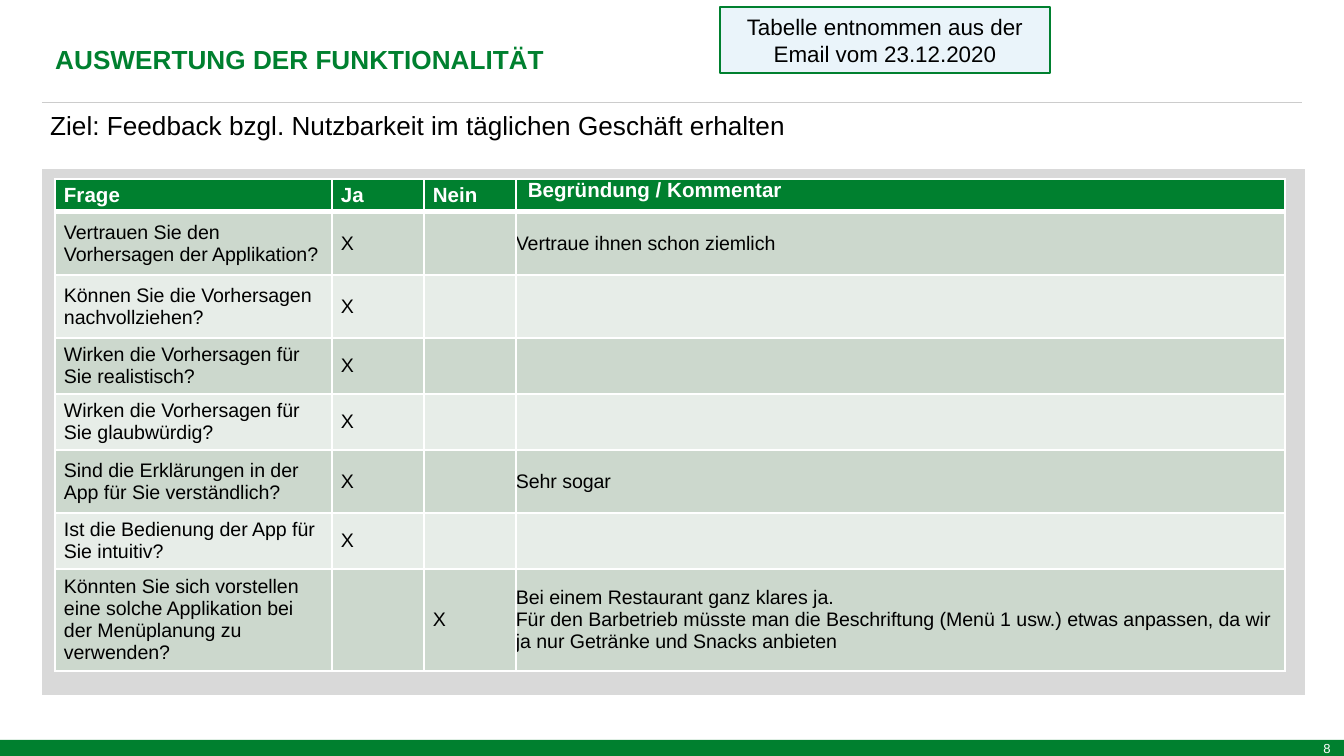
from dataclasses import dataclass
from typing import Optional

import pptx
import pptx.dml.color
import pptx.enum.shapes
import pptx.enum.text
import pptx.oxml
import pptx.oxml.ns
import pptx.util

ALIGN = pptx.enum.text.PP_ALIGN
ANCHOR = pptx.enum.text.MSO_ANCHOR
EMU_PER_PX = 914400 / 134.4


@dataclass(frozen=True)
class Theme:
    font: str = "Arial"
    green: str = "00802F"
    white: str = "FFFFFF"
    black: str = "000000"
    rule: str = "CCCCCC"
    panel: str = "D9D9D9"
    note: str = "EAF4FA"
    band_dark: str = "CCD8CD"
    band_light: str = "E7EDE8"
    heading: float = 14
    callout: float = 12
    table_head: float = 11
    table_body: float = 10.5
    page_number: float = 7


@dataclass(frozen=True)
class Box:
    left: int
    top: int
    width: int
    height: int
    text: str = ""
    size: float = 0
    color: str = ""
    bold: bool = False
    align: ALIGN = ALIGN.LEFT
    fill: Optional[str] = None
    line: Optional[str] = None
    space_after: int = 0


@dataclass(frozen=True)
class Question:
    text: str
    yes: bool
    height: int
    comment: str = ""


T = Theme()
PANEL = Box(42, 169, 1263, 526, fill=T.panel)
FOOTER = Box(0, 740, 1344, 16, "8", T.page_number, T.white, align=ALIGN.RIGHT, fill=T.green)
CALLOUT = Box(720, 7, 330, 66, "Tabelle entnommen aus der Email vom 23.12.2020",
              T.callout, T.black, align=ALIGN.CENTER, fill=T.note, line=T.green)
TITLE = Box(42, 37, 1058, 46, "AUSWERTUNG DER FUNKTIONALITÄT", T.heading, T.green, bold=True)
GOAL = Box(37, 103, 1281, 46, "Ziel: Feedback bzgl. Nutzbarkeit im täglichen Geschäft erhalten",
           T.heading, T.black, space_after=12)
HEADERS = ("Frage", "Ja", "Nein", "Begründung / Kommentar")
COLUMNS = (277, 92, 92, 769)
HEADER_HEIGHT = 33
COMMENT_COLUMN = 3
QUESTIONS = (
    Question("Vertrauen Sie den Vorhersagen der Applikation?", True, 63,
             "Vertraue ihnen schon ziemlich"),
    Question("Können Sie die Vorhersagen nachvollziehen?", True, 63),
    Question("Wirken die Vorhersagen für Sie realistisch?", True, 56),
    Question("Wirken die Vorhersagen für Sie glaubwürdig?", True, 56),
    Question("Sind die Erklärungen in der App für Sie verständlich?", True, 63, "Sehr sogar"),
    Question("Ist die Bedienung der App für Sie intuitiv?", True, 56),
    Question("Könnten Sie sich vorstellen eine solche Applikation bei der Menüplanung zu verwenden?",
             False, 102,
             "Bei einem Restaurant ganz klares ja.\n"
             "Für den Barbetrieb müsste man die Beschriftung (Menü 1 usw.) etwas anpassen, "
             "da wir ja nur Getränke und Snacks anbieten"),
)


def px(value: int) -> int:
    return round(value * EMU_PER_PX)


def rgb(value: str) -> pptx.dml.color.RGBColor:
    return pptx.dml.color.RGBColor.from_string(value)


def paint(obj, color: str) -> None:
    obj.fill.solid()
    obj.fill.fore_color.rgb = rgb(color)


def write(tf, text: str, size: float, color: str, bold: bool = False,
          align: ALIGN = ALIGN.LEFT) -> None:
    tf.text = text
    tf.word_wrap = True
    for p in tf.paragraphs:
        p.alignment = align
        for r in p.runs:
            r.font.name = T.font
            r.font.size = pptx.util.Pt(size)
            r.font.bold = bold
            r.font.color.rgb = rgb(color)


def draw_box(s, box: Box) -> None:
    frame = [px(v) for v in (box.left, box.top, box.width, box.height)]
    if box.fill:
        sp = s.shapes.add_shape(pptx.enum.shapes.MSO_SHAPE.RECTANGLE, *frame)
        sp.shadow.inherit = False
        paint(sp, box.fill)
        if box.line:
            sp.line.color.rgb = rgb(box.line)
            sp.line.width = pptx.util.Pt(1.5)
        else:
            sp.line.fill.background()
        sp.text_frame.vertical_anchor = ANCHOR.MIDDLE
    else:
        sp = s.shapes.add_textbox(*frame)
    if box.text:
        write(sp.text_frame, box.text, box.size, box.color, box.bold, box.align)
    if box.space_after:
        sp.text_frame.paragraphs[0].space_after = pptx.util.Pt(box.space_after)


def draw_rule(s, left: int, right: int, y: int) -> None:
    line = s.shapes.add_connector(pptx.enum.shapes.MSO_CONNECTOR.STRAIGHT,
                                  px(left), px(y), px(right), px(y))
    line.line.color.rgb = rgb(T.rule)
    line.line.width = pptx.util.Pt(0.5)
    line._element.spPr.append(pptx.oxml.parse_xml(
        f'<a:effectLst {pptx.oxml.ns.nsdecls("a")}/>'))


def add_borders(cell, top: int, bottom: int) -> None:
    tc_pr = cell._tc.get_or_add_tcPr()
    for side, width in (("L", 1), ("R", 1), ("T", top), ("B", bottom)):
        tc_pr.append(pptx.oxml.parse_xml(
            f'<a:ln{side} {pptx.oxml.ns.nsdecls("a")} w="{pptx.util.Pt(width)}">'
            f'<a:solidFill><a:srgbClr val="{T.white}"/></a:solidFill></a:ln{side}>'))


def draw_cell(cell, row: int, column: int, text: str) -> None:
    header, comment = row == 0, column == COMMENT_COLUMN
    add_borders(cell, 3 if row == 1 else 1, 3 if header else 1)
    paint(cell, T.green if header else T.band_dark if row % 2 else T.band_light)
    if not text:
        return
    cell.margin_left = cell.margin_right = px(0 if comment else 9)
    cell.margin_top = cell.margin_bottom = px(0 if comment else 4)
    cell.vertical_anchor = ANCHOR.TOP if header and comment else ANCHOR.MIDDLE
    write(cell.text_frame, text, T.table_head if header else T.table_body,
          T.white if header else T.black, header)
    if header and comment:
        cell.text_frame.paragraphs[0]._p.get_or_add_pPr().set("marL", str(px(12)))


def draw_table(s, left: int, top: int) -> None:
    heights = [HEADER_HEIGHT] + [q.height for q in QUESTIONS]
    rows = [HEADERS] + [(q.text, "X" if q.yes else "", "" if q.yes else "X", q.comment)
                        for q in QUESTIONS]
    table = s.shapes.add_table(len(rows), len(COLUMNS), px(left), px(top),
                               px(sum(COLUMNS)), px(sum(heights))).table
    table.first_row = table.horz_banding = False
    for column, width in zip(table.columns, COLUMNS):
        column.width = px(width)
    for i, (height, texts) in enumerate(zip(heights, rows)):
        table.rows[i].height = px(height)
        for j, text in enumerate(texts):
            draw_cell(table.cell(i, j), i, j, text)


def main() -> None:
    prs = pptx.Presentation()
    prs.slide_width, prs.slide_height = px(1344), px(756)
    s = prs.slides.add_slide(prs.slide_layouts[6])
    draw_box(s, FOOTER)
    draw_rule(s, 42, 1302, 103)
    for box in (TITLE, PANEL, GOAL, CALLOUT):
        draw_box(s, box)
    draw_table(s, 55, 179)
    prs.save("out.pptx")


if __name__ == "__main__":
    main()
